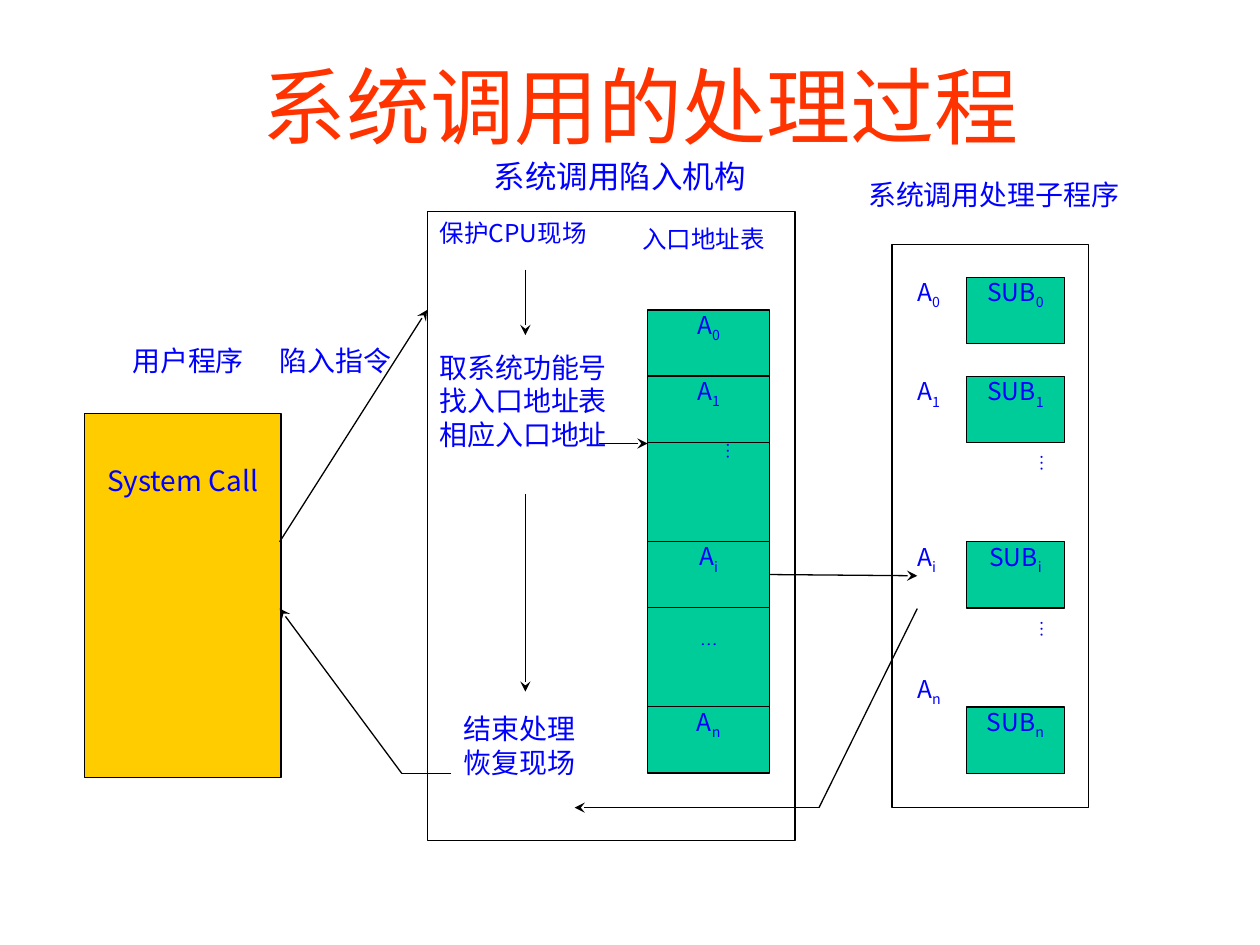
import pptx
import pptx.chart.data
import pptx.dml.color
import pptx.enum.shapes
import pptx.enum.text
import pptx.oxml
import pptx.oxml.ns
import pptx.util

Inches = pptx.util.Inches
ALIGN = pptx.enum.text.PP_ALIGN
SANS, SERIF = "Noto Sans CJK JP", "Times New Roman"
BLUE, GREEN, YELLOW, RED, BLACK = "0000FF", "00CC99", "FFCC00", "FF3300", "000000"
UNIT = 0.2625
NO_INSETS = (0, 0, 0, 0)
DEFAULT_INSETS = (0.1, 0.05, 0.1, 0.05)


def color(value):
    return pptx.dml.color.RGBColor.from_string(value)


def add_run(paragraph, text, size, font, fill, subscript=False):
    run = paragraph.add_run()
    run.text = text
    run.font.size = pptx.util.Pt(size)
    run.font.name = font
    run.font.color.rgb = color(fill)
    properties = run.font._element
    east_asian = pptx.oxml.parse_xml(
        f'<a:ea {pptx.oxml.ns.nsdecls("a")} typeface="{SANS}"/>')
    properties.find(pptx.oxml.ns.qn("a:latin")).addnext(east_asian)
    if subscript:
        properties.set("baseline", "-25000")


def write(shape, lines, size, font=SANS, fill=BLUE, align=ALIGN.JUSTIFY,
          insets=NO_INSETS, vertical=False):
    frame = shape.text_frame
    frame.word_wrap = True
    frame.vertical_anchor = pptx.enum.text.MSO_ANCHOR.TOP
    (frame.margin_left, frame.margin_top,
     frame.margin_right, frame.margin_bottom) = map(Inches, insets)
    if vertical:
        frame._txBody.bodyPr.set("vert", "eaVert")
    for index, (text, subscript) in enumerate(lines):
        paragraph = frame.add_paragraph() if index else frame.paragraphs[0]
        paragraph.alignment = align
        add_run(paragraph, text, size, font, fill)
        if subscript:
            add_run(paragraph, subscript, size, font, fill, True)
    return shape


def add_text(slide, box, lines, size, **options):
    shape = slide.shapes.add_textbox(*map(Inches, box))
    return write(shape, lines, size, **options)


def add_box(slide, box, fill=None):
    shape = slide.shapes.add_shape(
        pptx.enum.shapes.MSO_SHAPE.RECTANGLE, *map(Inches, box))
    shape.shadow.inherit = False
    if fill:
        shape.fill.solid()
        shape.fill.fore_color.rgb = color(fill)
    else:
        shape.fill.background()
    shape.line.color.rgb = color(BLACK)
    shape.line.width = pptx.util.Pt(0.75)
    return shape


def add_line(slide, start, end, arrow=True):
    connector = slide.shapes.add_connector(
        pptx.enum.shapes.MSO_CONNECTOR.STRAIGHT, *map(Inches, start + end))
    connector.line.color.rgb = color(BLACK)
    connector.line.width = pptx.util.Pt(0.75)
    namespace = pptx.oxml.ns.nsdecls("a")
    if arrow:
        connector.line._get_or_add_ln().append(
            pptx.oxml.parse_xml(f'<a:tailEnd {namespace} type="stealth"/>'))
    connector._element.spPr.append(
        pptx.oxml.parse_xml(f'<a:effectLst {namespace}/>'))
    return connector


def add_title(slide, box):
    shape = add_text(slide, box, [("系统调用的处理过程", "")], 48, font=SERIF,
                     fill=RED, align=ALIGN.CENTER, insets=DEFAULT_INSETS)
    shape.text_frame.vertical_anchor = pptx.enum.text.MSO_ANCHOR.MIDDLE


def add_user_program(slide, box):
    left, top, width, height = box
    write(add_box(slide, box, YELLOW), [("System Call", "")], 16,
          align=ALIGN.CENTER, insets=(0.1, 0.4, 0.1, 0.05))
    for text, x in (("用户程序", left + 0.38), ("陷入指令", left + width - 0.01)):
        add_text(slide, (x, top - 0.55, 0.97, 0.52), [(text, "")], 16)


def add_subroutines(slide, box):
    left, top, width, height = box
    first = top + 0.26
    add_text(slide, (left - 0.19, top - 0.53, 2.11, 0.53),
             [("系统调用处理子程序", "")], 16)
    for index, label_step, box_step in (
            ("0", 0, 0), ("1", 3, 3), ("i", 8, 8), ("n", 12, 13)):
        add_text(slide, (left + 0.2, first + label_step * UNIT, 0.39, 2 * UNIT),
                 [("A", index)], 14)
        entry = add_box(slide, (left + 0.59, first + box_step * UNIT, 0.78, 2 * UNIT), GREEN)
        write(entry, [("SUB", index)], 14, align=ALIGN.CENTER)
    for step in (5, 10):
        add_text(slide, (left + 0.59, first + step * UNIT, 0.78, 3 * UNIT),
                 [("…", "")], 10, font=SERIF, insets=DEFAULT_INSETS, vertical=True)
    add_box(slide, box)


def add_address_table(slide, box):
    left, top, width, height = box
    add_text(slide, (left - 0.14, top - 0.73, 1.25, 0.49),
             [("入口地址表", "")], 14, insets=DEFAULT_INSETS)
    cells = {}
    for name, units in (("0", 2), ("1", 2), ("down", 3), ("i", 2), ("across", 3), ("n", 2)):
        row_height = height * units / 14
        cell = add_box(slide, (left, top, width, row_height), GREEN)
        if name == "down":
            write(cell, [("…", "")], 10, font=SERIF, align=ALIGN.LEFT,
                  insets=(0, 0, 0.2, 0), vertical=True)
        elif name == "across":
            write(cell, [("…", "")], 10, font=SERIF, align=ALIGN.CENTER,
                  insets=(0, 0.16, 0, 0))
        else:
            write(cell, [("A", name)], 14, align=ALIGN.CENTER)
        cells[name] = cell
        top += row_height
    return cells


def add_trap_mechanism(slide, box):
    left, top, width, height = box
    add_text(slide, (left + 0.53, top - 0.43, 2.08, 0.3), [("系统调用陷入机构", "")], 18)
    add_box(slide, box)
    steps = (
        ((0, 0, 1.56, 0.84), 14, ["保护CPU现场"]),
        ((0, 1.05, 1.56, 1.19), 16, ["取系统功能号", "找入口地址表", "相应入口地址"]),
        ((0.19, 3.92, 1.17, 0.89), 16, ["结束处理", "恢复现场"]),
    )
    for (x, y, step_width, step_height), size, lines in steps:
        add_text(slide, (left + x, top + y, step_width, step_height),
                 [(line, "") for line in lines], size, insets=DEFAULT_INSETS)
    for start, end in ((0.46, 0.98), (2.24, 3.81)):
        add_line(slide, (left + 0.78, top + start), (left + 0.78, top + end))
    add_line(slide, (left + 1.36, top + 1.84), (left + 1.75, top + 1.84))
    return add_address_table(slide, (left + 1.75, top + 0.78, 0.97, 14 * UNIT))


def add_flow(slide, cells):
    add_line(slide, (2.22, 4.3), (3.39, 2.46))
    add_line(slide, (6.11, 4.57), (7.28, 4.57)).begin_connect(cells["i"], 3)
    add_line(slide, (7.28, 4.83), (6.5, 6.41), arrow=False)
    add_line(slide, (6.5, 6.41), (4.56, 6.41))
    add_line(slide, (3.58, 6.14), (3.19, 6.14), arrow=False)
    add_line(slide, (3.19, 6.14), (2.22, 4.83))


def main():
    presentation = pptx.Presentation()
    presentation.slide_width, presentation.slide_height = Inches(10), Inches(7.5)
    slide = presentation.slides.add_slide(presentation.slide_layouts[6])
    add_title(slide, (1.42, 0.29, 7.33, 1.08))
    add_user_program(slide, (0.67, 3.28, 1.56, 2.89))
    add_subroutines(slide, (7.08, 1.94, 1.56, 4.47))
    cells = add_trap_mechanism(slide, (3.39, 1.68, 2.92, 4.99))
    add_flow(slide, cells)
    presentation.save("out.pptx")


if __name__ == "__main__":
    main()
